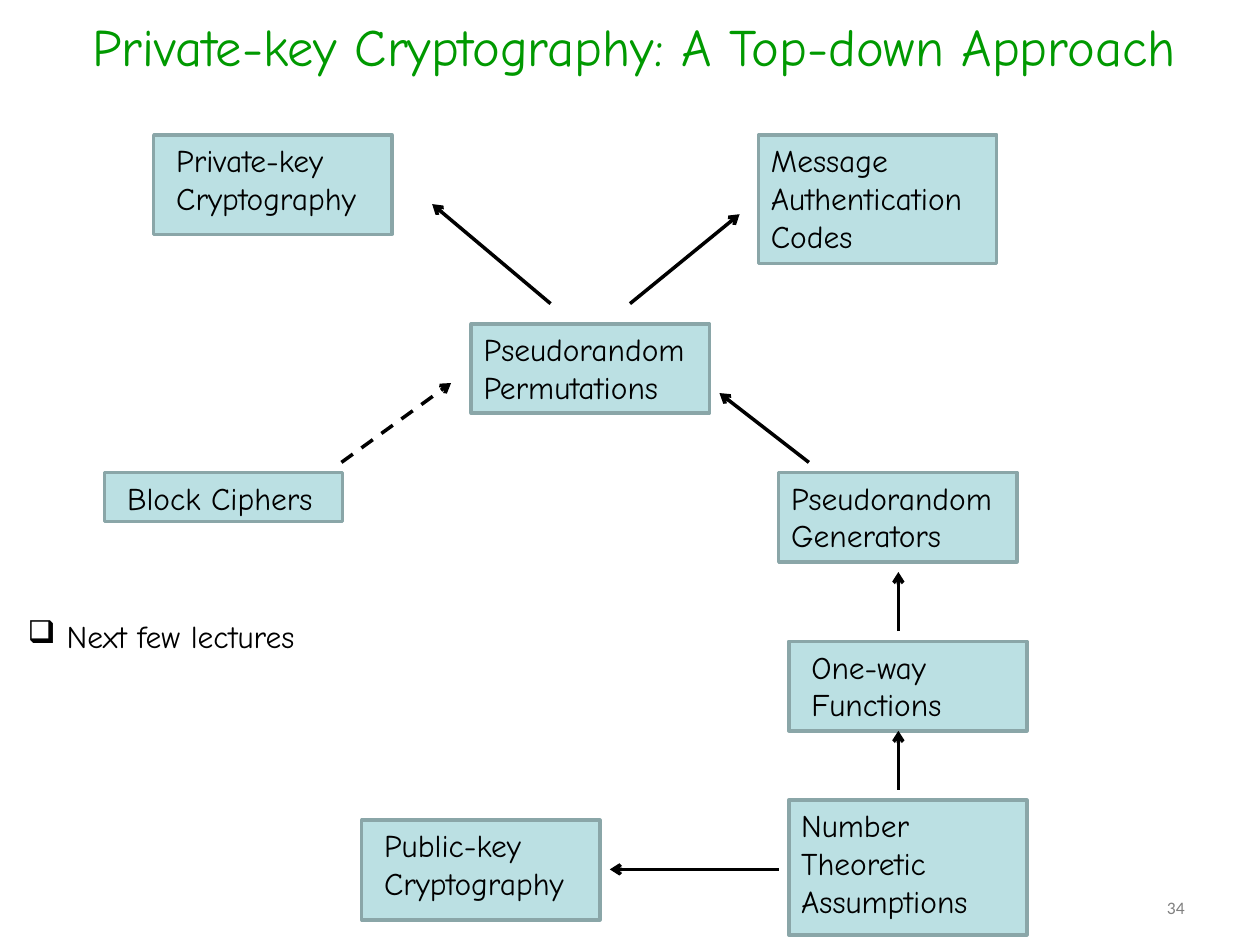
"""Build a slide that maps the building blocks of private-key cryptography."""
from dataclasses import dataclass

from lxml import etree
from pptx import Presentation
from pptx.dml.color import RGBColor
from pptx.enum import dml, shapes, text
from pptx.oxml import ns
from pptx.util import Inches, Pt

GREEN = RGBColor(0x00, 0x99, 0x00)
BLACK = RGBColor(0x00, 0x00, 0x00)
GRAY = RGBColor(0x80, 0x80, 0x80)
FILL = RGBColor(0xBB, 0xE0, 0xE3)
EDGE = RGBColor(0x8A, 0xA6, 0xA8)
FONT = "Comic Neue"
WIDTH = 1.89
LABEL = 2.05


@dataclass
class Node:
    words: str
    left: float
    top: float
    height: float
    lines: int = 2
    shift: float = 0
    span: float = LABEL


@dataclass
class Arrow:
    x1: float
    y1: float
    x2: float
    y2: float
    dashed: bool = False


NODES = [
    Node("Private-key Cryptography", 1.22, 1.07, 0.79, shift=0.08),
    Node("Message Authentication Codes", 6.02, 1.07, 1.02, lines=3),
    Node("Pseudorandom Permutations", 3.74, 2.57, 0.71),
    Node("Block Ciphers", 0.83, 3.75, 0.39, lines=1, shift=0.08),
    Node("Pseudorandom Generators", 6.18, 3.75, 0.71),
    Node("One-way Functions", 6.26, 5.09, 0.71, shift=0.08),
    Node("Number Theoretic Assumptions", 6.26, 6.35, 1.07, lines=3, span=WIDTH),
    Node("Public-key Cryptography", 2.87, 6.51, 0.79, shift=0.08),
]

ARROWS = [
    Arrow(5, 2.41, 5.87, 1.7),
    Arrow(4.37, 2.41, 3.43, 1.62),
    Arrow(6.42, 3.67, 5.71, 3.12),
    Arrow(7.13, 5.01, 7.13, 4.54),
    Arrow(2.71, 3.67, 3.58, 3.04, dashed=True),
    Arrow(7.13, 6.27, 7.13, 5.8),
    Arrow(6.18, 6.9, 4.84, 6.9),
]


def write(tree, words: str, left: float, top: float, width: float, height: float,
          size: int = 18, color: RGBColor = BLACK, font: str = FONT,
          align=text.PP_ALIGN.LEFT, anchor=text.MSO_ANCHOR.TOP):
    """Add a wrapped text box and return its paragraph."""
    box = tree.add_textbox(Inches(left), Inches(top), Inches(width), Inches(height))
    frame = box.text_frame
    frame.word_wrap = True
    frame.vertical_anchor = anchor
    para = frame.paragraphs[0]
    para.alignment = align
    run = para.add_run()
    run.text = words
    run.font.size = Pt(size)
    run.font.name = font
    run.font.color.rgb = color
    return para


def draw_node(tree, node: Node) -> None:
    """Group a filled box with its label."""
    group = tree.add_group_shape().shapes
    box = group.add_shape(shapes.MSO_SHAPE.RECTANGLE, Inches(node.left),
                          Inches(node.top), Inches(WIDTH), Inches(node.height))
    box.shadow.inherit = False
    box.fill.solid()
    box.fill.fore_color.rgb = FILL
    box.line.color.rgb = EDGE
    box.line.width = Pt(2)
    write(group, node.words, node.left + node.shift, node.top,
          node.span, 0.1 + 0.3 * node.lines)


def draw_arrow(tree, arrow: Arrow) -> None:
    """Add a black line with an open head at its end."""
    line = tree.add_connector(shapes.MSO_CONNECTOR.STRAIGHT,
                              Inches(arrow.x1), Inches(arrow.y1),
                              Inches(arrow.x2), Inches(arrow.y2))
    line.line.color.rgb = BLACK
    line.line.width = Pt(2)
    if arrow.dashed:
        line.line.dash_style = dml.MSO_LINE.DASH
    props = line._element.spPr
    etree.SubElement(props.find(ns.qn("a:ln")), ns.qn("a:tailEnd"), type="arrow")
    etree.SubElement(props, ns.qn("a:effectLst"))


def add_bullet(para, mark: str, indent: float) -> None:
    """Give a paragraph a hanging bullet."""
    props = para._p.get_or_add_pPr()
    props.set("marL", str(Inches(indent)))
    props.set("indent", str(-Inches(indent)))
    etree.SubElement(props, ns.qn("a:buChar"), char=mark)


def main() -> None:
    """Draw the slide and save it."""
    deck = Presentation()
    deck.slide_width = Inches(10)
    deck.slide_height = Inches(7.5)
    tree = deck.slides.add_slide(deck.slide_layouts[6]).shapes
    write(tree, "Private-key Cryptography: A Top-down Approach",
          -0.2, 0.05, 10.47, 0.63, 30, GREEN,
          align=text.PP_ALIGN.CENTER, anchor=text.MSO_ANCHOR.MIDDLE)
    for node in NODES:
        draw_node(tree, node)
    for arrow in ARROWS:
        draw_arrow(tree, arrow)
    add_bullet(write(tree, "Next few lectures", 0.12, 4.85, 4.25, 0.4), "❑", 0.31)
    write(tree, "34", 7.17, 7.06, 2.33, 0.29, 10, GRAY, "Calibri",
          text.PP_ALIGN.RIGHT, text.MSO_ANCHOR.MIDDLE)
    deck.save("out.pptx")


main()
